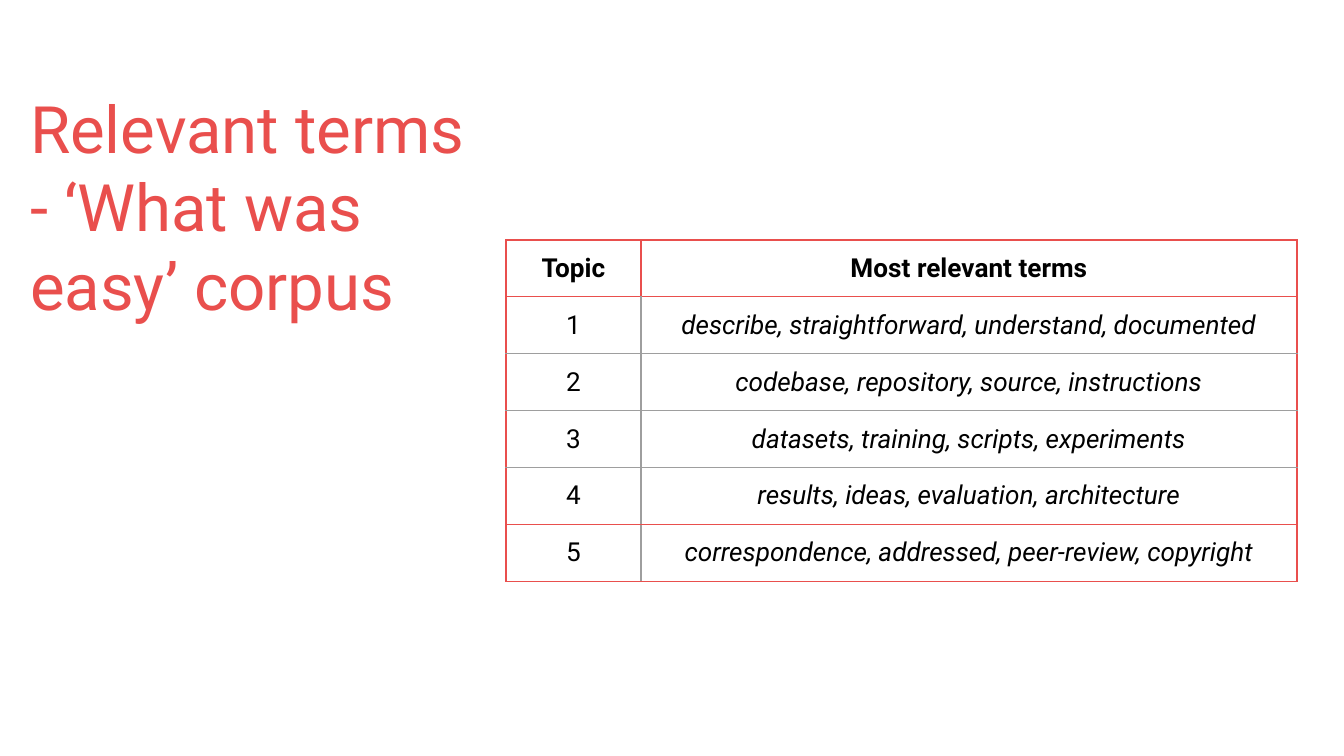
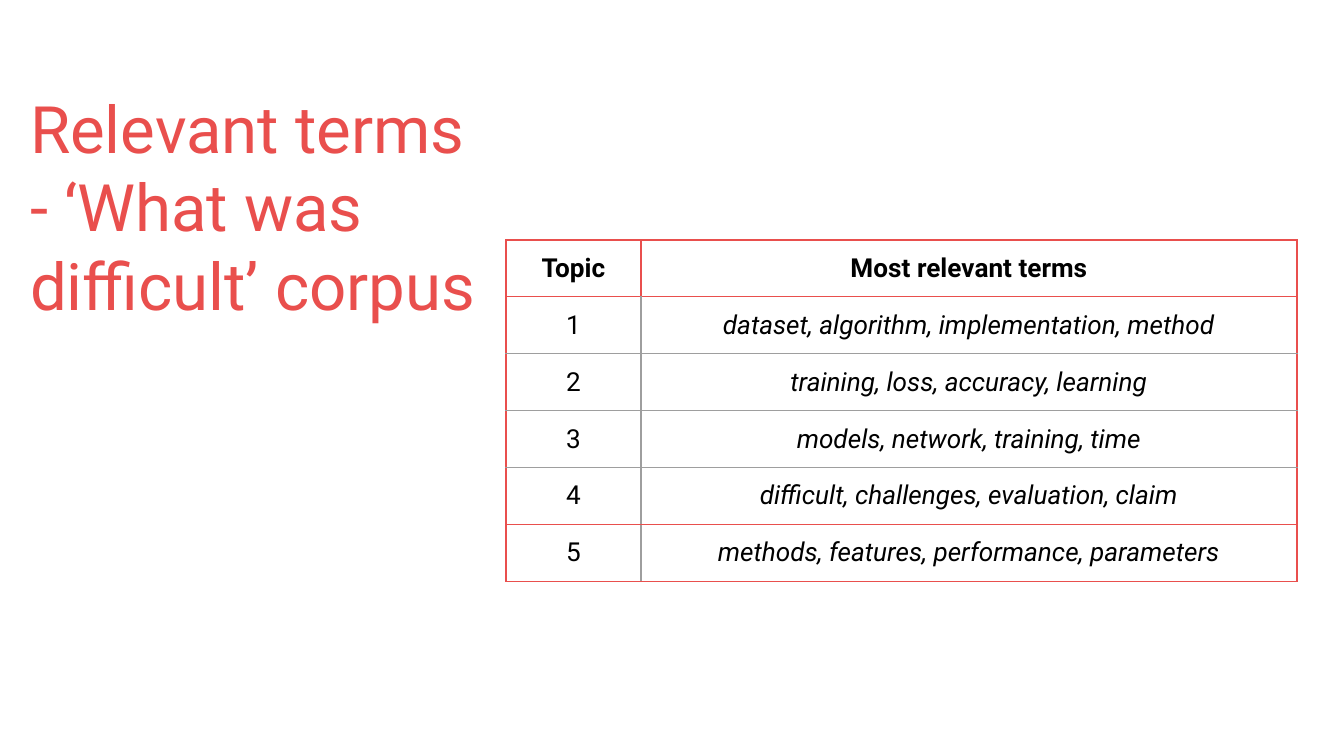
from lxml.etree import SubElement
from pptx import Presentation
from pptx.dml.color import RGBColor
from pptx.enum.text import MSO_ANCHOR as Anchor, MSO_AUTO_SIZE as AutoSize, PP_ALIGN as Align
from pptx.oxml.ns import qn
from pptx.util import Emu, Pt

# Shared look
PX_PER_INCH = 134.4
SLIDE_SIZE = (1344, 756)
TITLE_BOX = (17, 75, 490, 85)
TABLE_ORIGIN = (506, 240)
COLUMN_WIDTHS = (135, 656)
ROW_HEIGHT = 55
INSET = 13
FONT = "Roboto"
RED, GREY, BLACK = "E94F4D", "9E9E9E", "000000"
BORDER_POINTS = 0.75
HEADINGS = ("Topic", "Most relevant terms")

# Content: title and the terms of topics 1 to 5
SLIDES = [
    ("Relevant terms\v- ‘What was easy’ corpus", [
        "describe, straightforward, understand, documented",
        "codebase, repository, source, instructions",
        "datasets, training, scripts, experiments",
        "results, ideas, evaluation, architecture",
        "correspondence, addressed, peer-review, copyright",
    ]),
    ("Relevant terms\v- ‘What was difficult’ corpus", [
        "dataset, algorithm, implementation, method",
        "training, loss, accuracy, learning",
        "models, network, training, time",
        "difficult, challenges, evaluation, claim",
        "methods, features, performance, parameters",
    ]),
]


def px(length):
    return Emu(round(length * 914400 / PX_PER_INCH))


def color(hex_text):
    return RGBColor.from_string(hex_text)


def write_text(frame, text, size=14, fill=BLACK, bold=False, italic=False, align=Align.CENTER):
    frame.text = text
    frame.word_wrap = True
    paragraph = frame.paragraphs[0]
    paragraph.alignment = align
    for run in paragraph.runs:
        font = run.font
        font.name, font.size = FONT, Pt(size)
        font.bold, font.italic = bold, italic
        font.color.rgb = color(fill)


def add_title(slide, text):
    title = slide.shapes.title
    title.left, title.top, title.width, title.height = map(px, TITLE_BOX)
    frame = title.text_frame
    frame.auto_size = AutoSize.NONE
    frame.vertical_anchor = Anchor.TOP
    frame.margin_left = frame.margin_right = px(INSET)
    frame.margin_top = frame.margin_bottom = px(INSET)
    write_text(frame, text, size=35, fill=RED, align=Align.LEFT)


def set_borders(cell, **side_colors):
    properties = cell._tc.get_or_add_tcPr()
    for side, hex_text in side_colors.items():
        line = SubElement(properties, qn(f"a:ln{side}"), w=str(Pt(BORDER_POINTS)))
        fill = SubElement(line, qn("a:solidFill"))
        SubElement(fill, qn("a:srgbClr"), val=hex_text)


def format_cell(cell, row, column, last_row):
    cell.margin_left = cell.margin_right = px(INSET)
    cell.margin_top = cell.margin_bottom = px(INSET)
    # Red frame, header and last row; grey lines between the other cells
    inner = RED if row == 0 else GREY
    set_borders(
        cell,
        L=RED if column == 0 else inner,
        R=inner if column == 0 else RED,
        T=RED if row in (0, 1, last_row) else GREY,
        B=RED if row in (0, last_row - 1, last_row) else GREY,
    )
    cell.fill.background()


def add_terms_table(slide, topics):
    rows = [HEADINGS] + [(str(number), terms) for number, terms in enumerate(topics, 1)]
    left, top = TABLE_ORIGIN
    table = slide.shapes.add_table(
        len(rows), len(HEADINGS), px(left), px(top),
        px(sum(COLUMN_WIDTHS)), px(ROW_HEIGHT * len(rows)),
    ).table
    table.first_row = table.horz_banding = False
    for column, width in zip(table.columns, COLUMN_WIDTHS):
        column.width = px(width)
    for row, values in enumerate(rows):
        table.rows[row].height = px(ROW_HEIGHT)
        for column, text in enumerate(values):
            cell = table.cell(row, column)
            format_cell(cell, row, column, len(rows) - 1)
            write_text(cell.text_frame, text, bold=row == 0, italic=row > 0 and column == 1)


def main():
    presentation = Presentation()
    presentation.slide_width, presentation.slide_height = map(px, SLIDE_SIZE)
    title_only = presentation.slide_layouts[5]
    for title, topics in SLIDES:
        slide = presentation.slides.add_slide(title_only)
        add_title(slide, title)
        add_terms_table(slide, topics)
    presentation.save("out.pptx")


if __name__ == "__main__":
    main()
